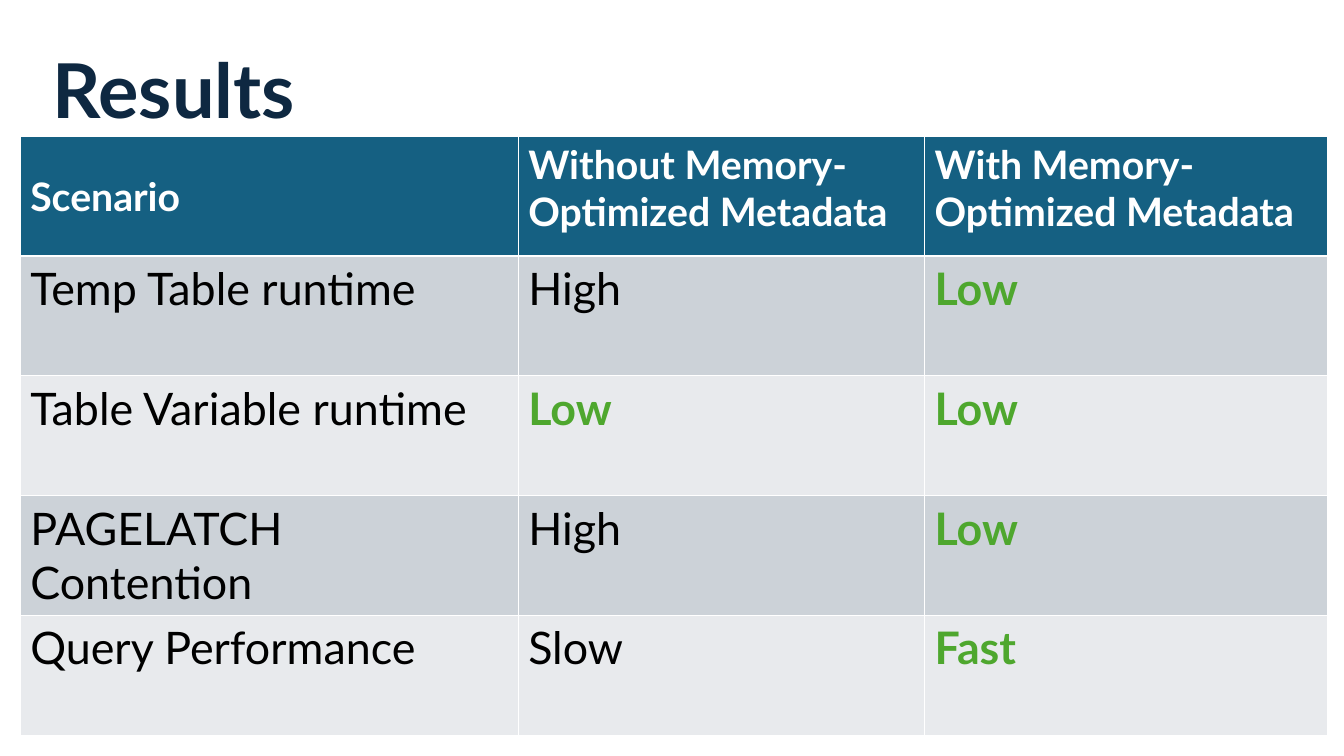
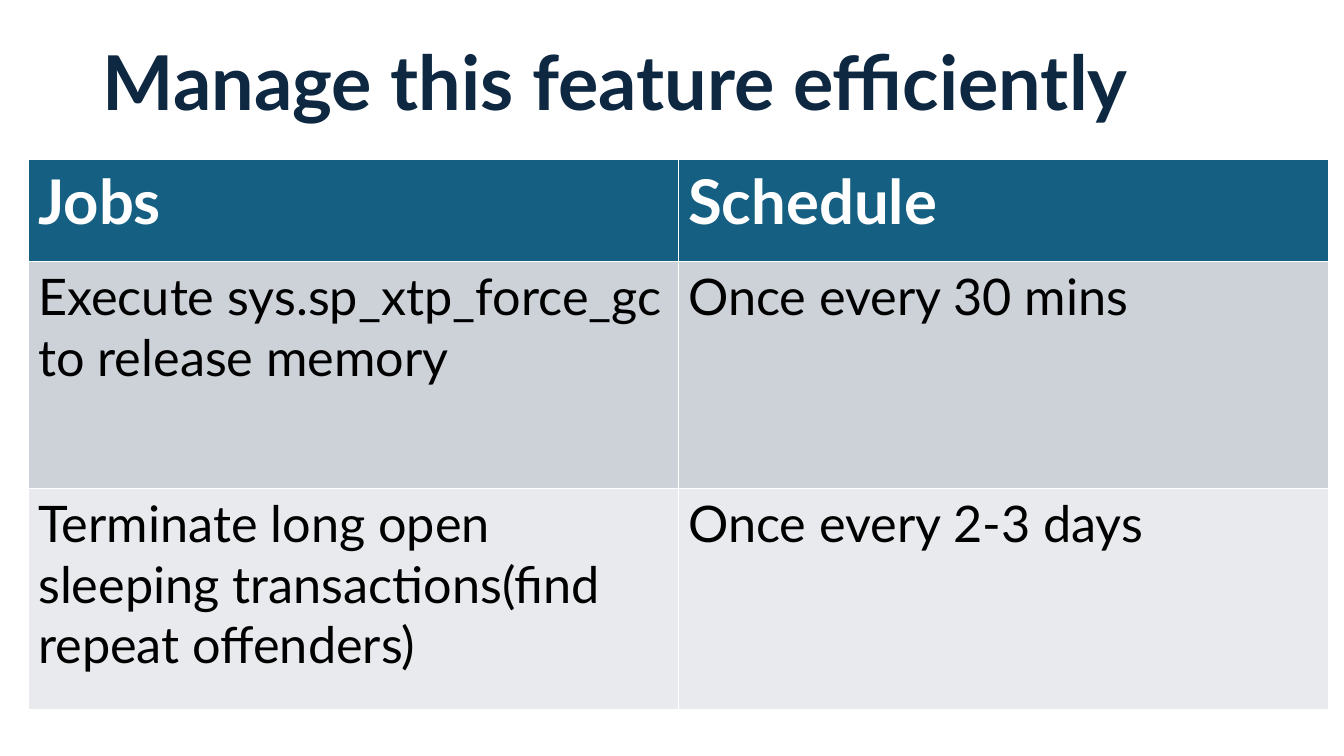
"""Build two slides, each with a title over a banded table."""
from pptx import Presentation
from pptx.dml.color import RGBColor
from pptx.enum.text import MSO_ANCHOR, PP_ALIGN
from pptx.util import Cm, Pt

FONT = "Lato"
COLORS = {
    "title": "0E2841",
    "header": "156082",
    "header_text": "FFFFFF",
    "band_dark": "CCD2D8",
    "band_light": "E8EAED",
    "text": "000000",
    "good": "4EA72E",
}
GOOD_RESULTS = {"Low", "Fast"}
SLIDES = [
    {
        "title": "Results",
        "title_box": (1.07, 0.53, 30.99, 3.68),
        "table_at": (0.51, 3.43),
        "columns": [12.55, 10.24, 10.16],
        "row_heights": [3.02] * 5,
        "sizes": {"header": 28, "body": 32},
        "middle_cells": {(0, 0)},
        "rows": [
            ("Scenario", "Without Memory-Optimized Metadata", "With Memory-Optimized Metadata"),
            ("Temp Table runtime", "High", "Low"),
            ("Table Variable runtime", "Low", "Low"),
            ("PAGELATCH Contention", "High", "Low"),
            ("Query Performance", "Slow", "Fast"),
        ],
    },
    {
        "title": "Manage this feature efficiently",
        "title_box": (2.34, 0.33, 29.21, 3.68),
        "table_at": (0.71, 4.01),
        "columns": [16.38] * 2,
        "row_heights": [2.57, 5.72, 5.59],
        "sizes": {"header": 44, "body": 36},
        "middle_cells": set(),
        "rows": [
            ("Jobs", "Schedule"),
            ("Execute sys.sp_xtp_force_gc to release memory", "Once every 30 mins"),
            ("Terminate long open sleeping transactions(find repeat offenders)", "Once every 2-3 days"),
        ],
    },
]


def rgb(name):
    return RGBColor.from_string(COLORS[name])


def add_text(tf, text, size, color, bold):
    p = tf.paragraphs[0]
    p.alignment = PP_ALIGN.LEFT
    r = p.add_run()
    r.text = text
    r.font.name = FONT
    r.font.size = Pt(size)
    r.font.bold = bold
    r.font.color.rgb = rgb(color)
    return p


def add_title(s, text, box):
    sp = s.shapes.title
    sp.left, sp.top, sp.width, sp.height = map(Cm, box)
    tf = sp.text_frame
    tf.word_wrap = True
    tf.vertical_anchor = MSO_ANCHOR.MIDDLE
    p = add_text(tf, text, 54, "title", True)
    p.line_spacing = 0.9


def fill_cell(cell, text, row, sizes):
    if row == 0:
        fill, color, size = "header", "header_text", sizes["header"]
    else:
        fill = "band_dark" if row % 2 else "band_light"
        color = "good" if text in GOOD_RESULTS else "text"
        size = sizes["body"]
    cell.fill.solid()
    cell.fill.fore_color.rgb = rgb(fill)
    add_text(cell.text_frame, text, size, color, color != "text")


def add_table(s, data):
    rows, columns, heights = data["rows"], data["columns"], data["row_heights"]
    left, top = map(Cm, data["table_at"])
    table = s.shapes.add_table(
        len(rows), len(columns), left, top, Cm(sum(columns)), Cm(sum(heights))
    ).table
    for column, width in zip(table.columns, columns):
        column.width = Cm(width)
    for row, height in zip(table.rows, heights):
        row.height = Cm(height)
    for i, texts in enumerate(rows):
        for j, text in enumerate(texts):
            cell = table.cell(i, j)
            fill_cell(cell, text, i, data["sizes"])
            if (i, j) in data["middle_cells"]:
                cell.vertical_anchor = MSO_ANCHOR.MIDDLE


def main():
    prs = Presentation()
    prs.slide_width, prs.slide_height = Cm(33.87), Cm(19.05)
    for data in SLIDES:
        s = prs.slides.add_slide(prs.slide_layouts[5])
        add_title(s, data["title"], data["title_box"])
        add_table(s, data)
    prs.save("out.pptx")


if __name__ == "__main__":
    main()
